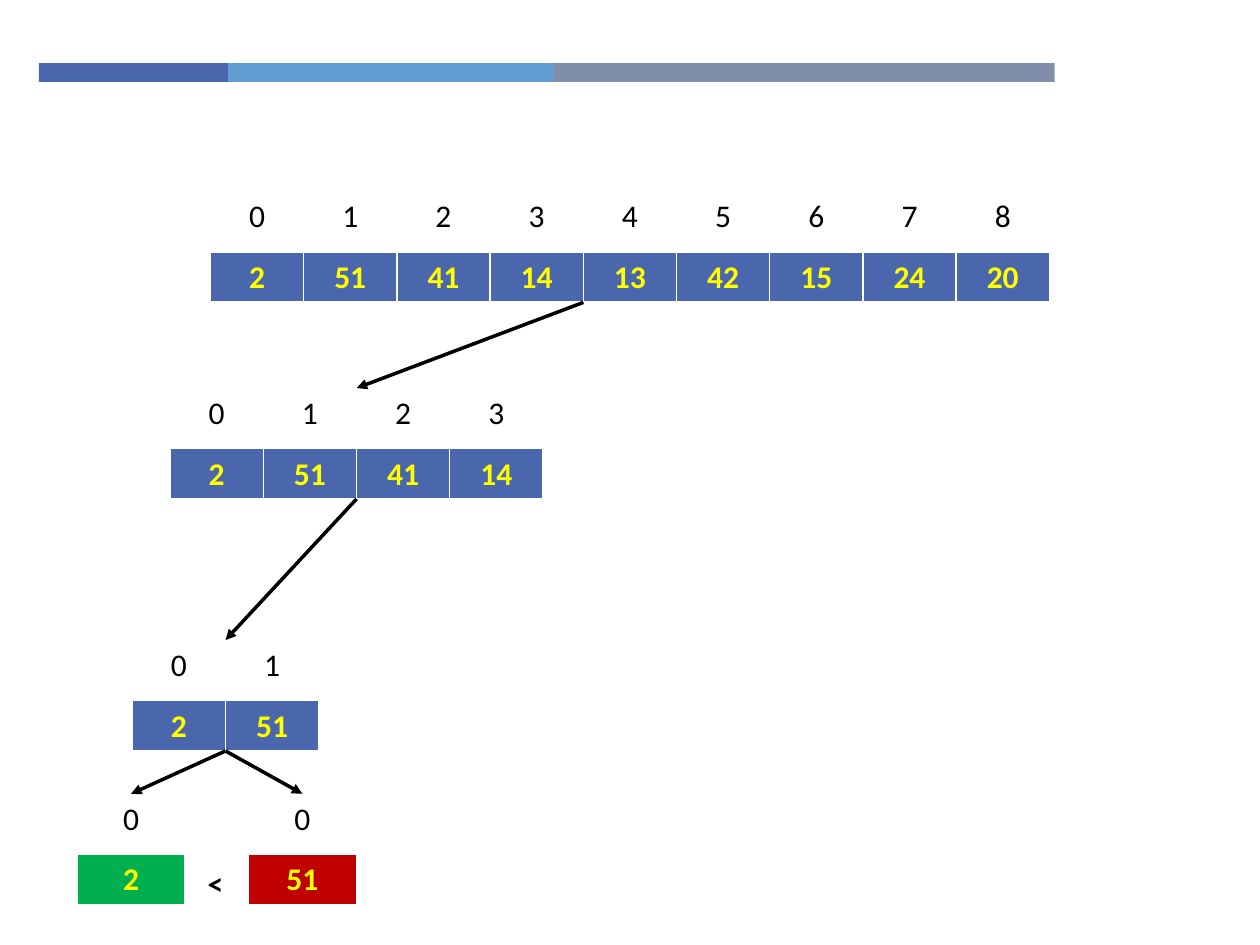
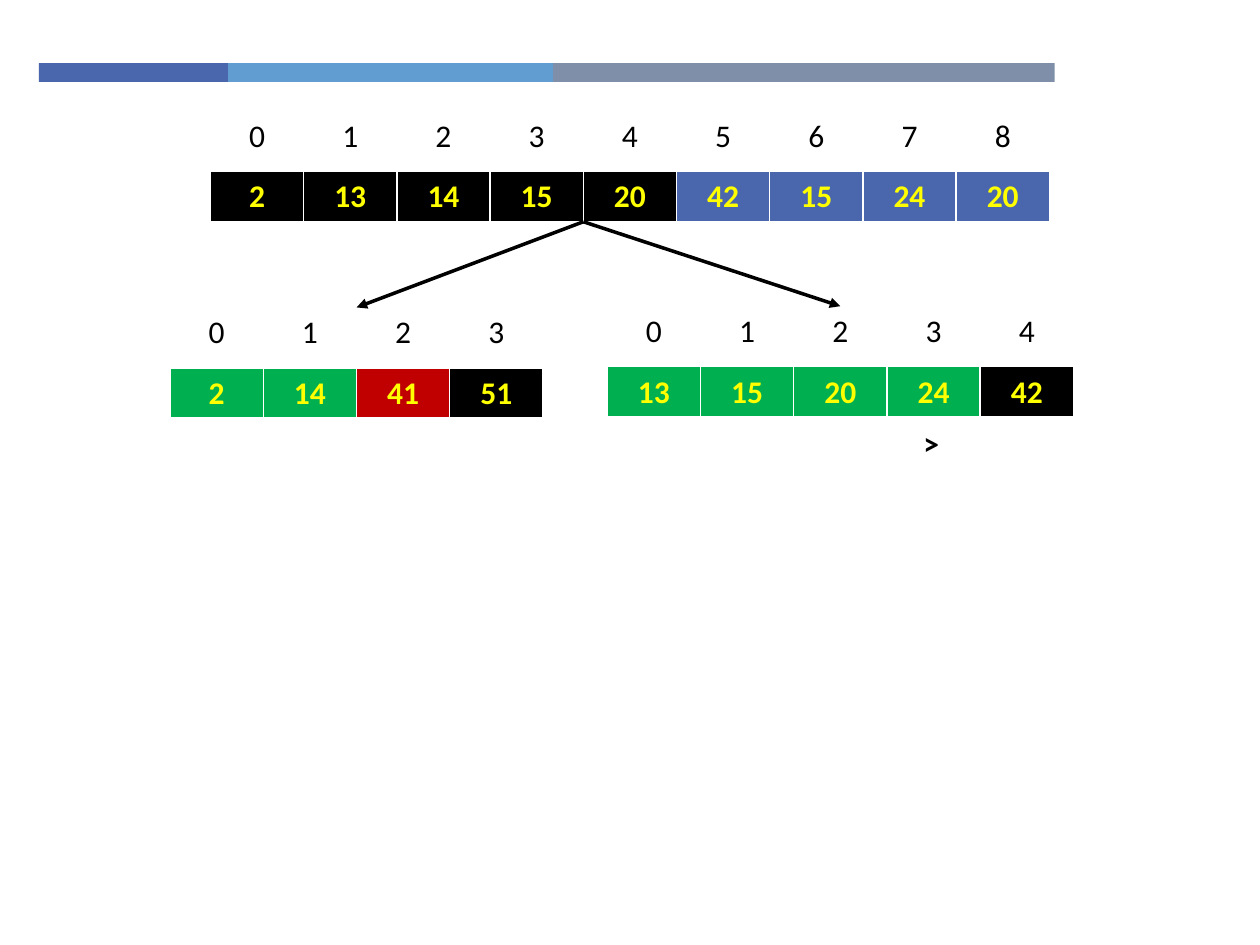
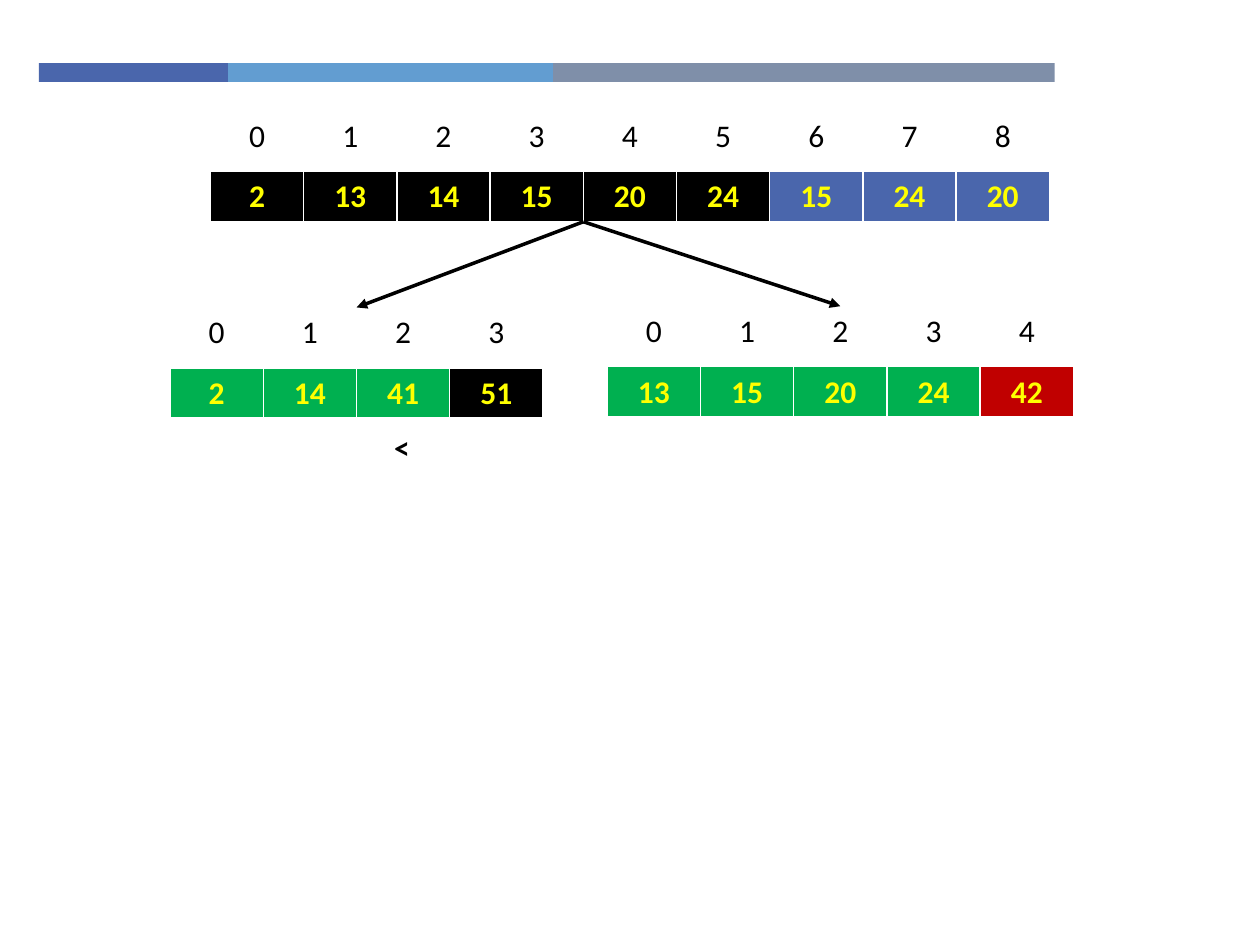
from dataclasses import dataclass

from pptx import Presentation, util as u
from pptx.dml.color import RGBColor
from pptx.enum import shapes, text
from pptx.oxml import parse_xml
from pptx.oxml.ns import nsdecls, qn

PX = 9144  # EMU per px, 100 px to the inch
FONT = "Calibri"
COLOURS = {
    "pending": "4A66AC", "merged": "000000", "taken": "00B050", "compared": "C00000",
    "bar_mid": "629DD1", "bar_end": "7F8FA9",
    "value": "FFFF00", "ink": "000000", "border": "FFFFFF",
}
BARS = [("pending", 150), ("bar_mid", 258), ("bar_end", 398)]
PLAIN_TABLE = "{2D5ABB26-0587-4C30-8999-92F81FD0307C}"
BORDERS = {"L": 1, "R": 1, "T": 1, "B": 3}
CELL, LEAF_CELL = 74, 86
ROW, INDEX_ROW, INDEX_RISE = 41, 40, 48


@dataclass
class Array:
    left: int
    top: int
    values: list
    states: list
    cell: int = CELL

    def split(self):
        """Where an arrow leaves: under the border between the two halves."""
        return self.left + len(self.values) // 2 * self.cell, self.top + INDEX_ROW

    def entry(self):
        """Where an arrow arrives: above the middle of the indexes."""
        return self.left + len(self.values) * self.cell // 2, self.top - INDEX_RISE


def rgb(name):
    return RGBColor.from_string(COLOURS[name])


def write(frame, content, colour="ink", bold=False, align=None):
    para = frame.paragraphs[0]
    para.alignment = align
    span = para.add_run()
    span.text = str(content)
    span.font.name = FONT
    span.font.size = u.Pt(18)
    span.font.bold = bold
    span.font.color.rgb = rgb(colour)


def add_bars(page):
    left = 31
    for colour, width in BARS:
        bar = page.shapes.add_shape(shapes.MSO_SHAPE.RECTANGLE,
                                    left * PX, 50 * PX, width * PX, 15 * PX)
        bar.shadow.inherit = False
        bar.fill.solid()
        bar.fill.fore_color.rgb = rgb(colour)
        bar.line.fill.background()
        left += width


def add_borders(cell):
    properties = cell._tc.get_or_add_tcPr()
    for side, points in BORDERS.items():
        properties.append(parse_xml(
            f'<a:ln{side} {nsdecls("a")} w="{u.Pt(points)}"><a:solidFill>'
            f'<a:srgbClr val="{COLOURS["border"]}"/></a:solidFill></a:ln{side}>'))


def add_row(page, left, top, cell_width, height, contents, states=None):
    """One-row table; with states its cells are filled and bordered."""
    frame = page.shapes.add_table(1, len(contents), left * PX, top * PX,
                                  cell_width * len(contents) * PX, height * PX)
    table = frame.table
    table.first_row = table.horz_banding = False
    for style in frame.element.iter(qn("a:tableStyleId")):
        style.text = PLAIN_TABLE
    for column, content in enumerate(contents):
        table.columns[column].width = cell_width * PX
        cell = table.cell(0, column)
        cell.vertical_anchor = text.MSO_ANCHOR.MIDDLE
        if states:
            add_borders(cell)
            cell.fill.solid()
            cell.fill.fore_color.rgb = rgb(states[column])
        else:
            cell.fill.background()
        write(cell.text_frame, content, colour="value" if states else "ink",
              bold=bool(states), align=text.PP_ALIGN.CENTER)


def add_array(page, array):
    add_row(page, array.left, array.top, array.cell, ROW, array.values, array.states)
    count = len(array.values)
    inset = (array.cell - CELL) * count // 2
    add_row(page, array.left + inset, array.top - INDEX_RISE, CELL, INDEX_ROW, range(count))


def add_arrow(page, parent, child):
    ends = [length * PX for length in (*parent.split(), *child.entry())]
    arrow = page.shapes.add_connector(shapes.MSO_CONNECTOR.STRAIGHT, *ends)
    arrow.line.color.rgb = rgb("ink")
    arrow.line.width = u.Pt(2)
    arrow.line._get_or_add_ln().append(
        parse_xml(f'<a:tailEnd {nsdecls("a")} type="triangle"/>'))
    arrow.element.spPr.append(parse_xml(f'<a:effectLst {nsdecls("a")}/>'))


def add_sign(page, left, top, sign):
    box = page.shapes.add_textbox(left * PX, top * PX, 29 * PX, 40 * PX)
    box.text_frame.word_wrap = False
    box.text_frame.auto_size = text.MSO_AUTO_SIZE.SHAPE_TO_FIT_TEXT
    write(box.text_frame, sign, bold=True)


def add_page(deck, arrays, links, sign):
    """links holds (parent, child) positions in arrays; sign is left, top, text."""
    page = deck.slides.add_slide(deck.slide_layouts[6])
    add_bars(page)
    for position, array in enumerate(arrays):
        add_array(page, array)
        for parent, child in links:
            if child == position:
                add_arrow(page, arrays[parent], array)
    add_sign(page, *sign)


def add_split_page(deck):
    values = [2, 51, 41, 14, 13, 42, 15, 24, 20]
    halves = [(167, 200, 9), (135, 356, 4), (105, 556, 2)]
    arrays = [Array(left, top, values[:count], ["pending"] * count)
              for left, top, count in halves]
    arrays += [Array(61, 678, [2], ["taken"], LEAF_CELL),
               Array(197, 678, [51], ["compared"], LEAF_CELL)]
    add_page(deck, arrays, [(0, 1), (1, 2), (2, 3), (2, 4)], (155, 681, "<"))


def add_merge_page(deck, merged, remaining, left_states, right_states, sign):
    whole = Array(167, 136, merged + remaining,
                  ["merged"] * len(merged) + ["pending"] * len(remaining))
    left_half = Array(135, 292, [2, 14, 41, 51], left_states)
    right_half = Array(482, 291, [13, 15, 20, 24, 42], right_states)
    add_page(deck, [whole, left_half, right_half], [(0, 1), (0, 2)], sign)


def main():
    deck = Presentation()
    deck.slide_width, deck.slide_height = 1000 * PX, 750 * PX
    add_split_page(deck)
    add_merge_page(deck, [2, 13, 14, 15, 20], [42, 15, 24, 20],
                   ["taken"] * 2 + ["compared", "merged"],
                   ["taken"] * 4 + ["merged"], (723, 332, ">"))
    add_merge_page(deck, [2, 13, 14, 15, 20, 24], [15, 24, 20],
                   ["taken"] * 3 + ["merged"],
                   ["taken"] * 4 + ["compared"], (303, 335, "<"))
    deck.save("out.pptx")


if __name__ == "__main__":
    main()
